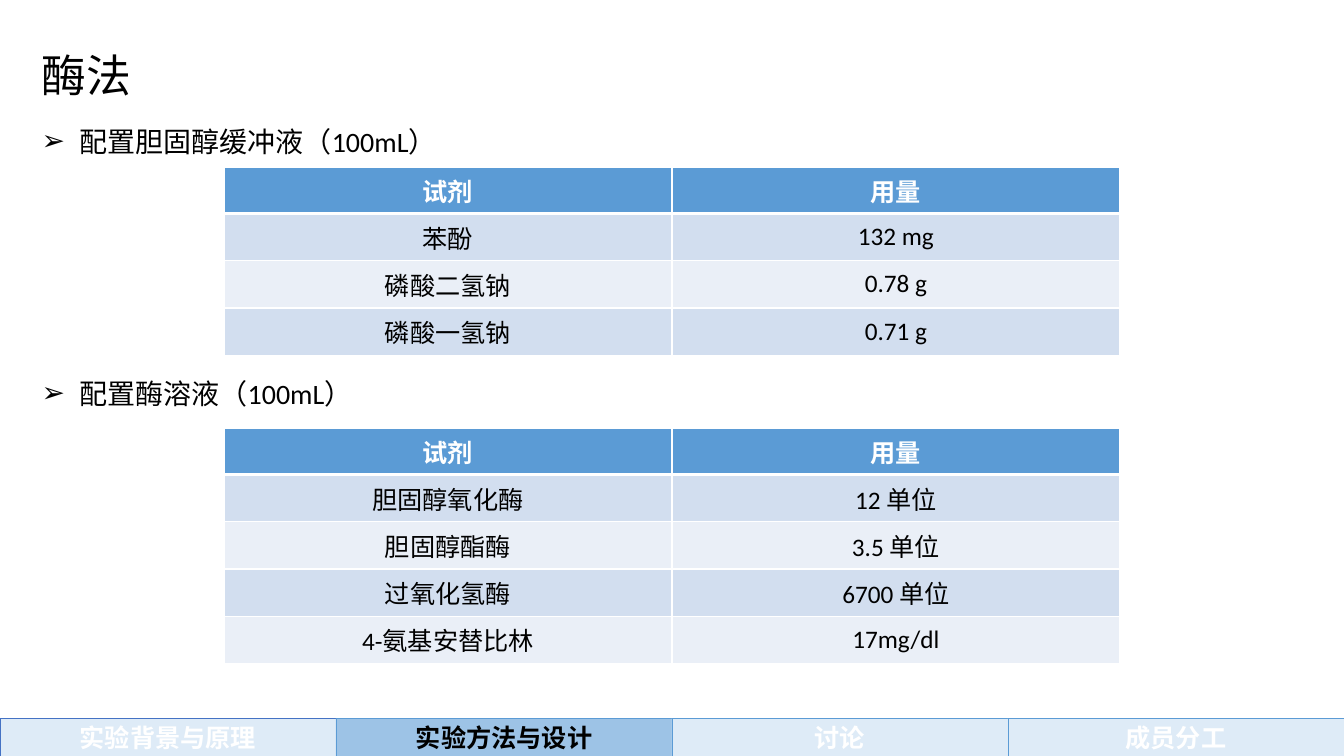
"""Build the enzyme method slide with two reagent tables and a section bar."""
from lxml import etree
from pptx import Presentation
from pptx.dml.color import RGBColor
from pptx.enum.shapes import MSO_SHAPE
from pptx.enum.text import MSO_ANCHOR, MSO_AUTO_SIZE, PP_ALIGN
from pptx.oxml.ns import qn
from pptx.util import Cm, Pt

RECTANGLE = MSO_SHAPE.RECTANGLE
MIDDLE = MSO_ANCHOR.MIDDLE
CENTER = PP_ALIGN.CENTER
GROW = MSO_AUTO_SIZE.SHAPE_TO_FIT_TEXT

TITLE = "酶法"
STEPS = [(2.59, "配置胆固醇缓冲液（100mL）"), (8.94, "配置酶溶液（100mL）")]
TABLES = [
    (4.22, [("试剂", "用量"), ("苯酚", "132 mg"), ("磷酸二氢钠", "0.78 g"),
            ("磷酸一氢钠", "0.71 g")]),
    (10.8, [("试剂", "用量"), ("胆固醇氧化酶", "12 单位"), ("胆固醇酯酶", "3.5 单位"),
            ("过氧化氢酶", "6700 单位"), ("4-氨基安替比林", "17mg/dl")]),
]
SECTIONS = ["实验背景与原理", "实验方法与设计", "讨论", "成员分工"]
CURRENT_SECTION = "实验方法与设计"

THEME = {
    "font": "Calibri", "bullet_font": "Arial", "title": 32, "step": 20, "body": 18,
    "black": "000000", "white": "FFFFFF", "header": "5B9BD5",
    "bands": ("D2DEEF", "EAEFF7"), "tab": "DEEBF7", "current": "9DC3E6",
    "first_line": "4472C4", "tab_line": "5B9BD5",
}
PAGE_WIDTH, PAGE_HEIGHT = 33.87, 19.05
MARGIN = 0.8
TABLE_WIDTH, HEADER_HEIGHT, ROW_HEIGHT = 22.58, 1.16, 1.19
TAB_HEIGHT = 0.95
STEP_INDENT = 0.95


def color(name):
    return RGBColor.from_string(THEME.get(name, name))


def write(para, text, size, shade="black", bold=False):
    span = para.add_run()
    span.text = text
    formats = {"name": THEME["font"], "size": Pt(THEME[size]), "bold": bold}
    for key, value in formats.items():
        setattr(span.font, key, value)
    span.font.color.rgb = color(shade)


def add_box(page, top, width, height):
    box = page.shapes.add_textbox(Cm(MARGIN), Cm(top), Cm(width), Cm(height))
    box.text_frame.word_wrap = True
    box.text_frame.auto_size = GROW
    return box.text_frame.paragraphs[0]


def add_step(page, top, text):
    para = add_box(page, top, 30, 1.6)
    para.line_spacing = 1.5
    properties = para._p.get_or_add_pPr()
    properties.set("marL", str(Cm(STEP_INDENT)))
    properties.set("indent", str(-Cm(STEP_INDENT)))
    etree.SubElement(properties, qn("a:buFont"), typeface=THEME["bullet_font"])
    etree.SubElement(properties, qn("a:buChar"), char="➢")
    write(para, text, "step")


def set_borders(cell, widths):
    properties = cell._tc.get_or_add_tcPr()
    for index, (side, width) in enumerate(widths.items()):
        line = etree.Element(qn(f"a:ln{side}"), w=str(Pt(width)))
        fill = etree.SubElement(line, qn("a:solidFill"))
        etree.SubElement(fill, qn("a:srgbClr"), val=THEME["white"])
        properties.insert(index, line)


def add_reagents(page, top, rows):
    left = (PAGE_WIDTH - TABLE_WIDTH) / 2
    columns = len(rows[0])
    height = HEADER_HEIGHT + ROW_HEIGHT * (len(rows) - 1)
    table = page.shapes.add_table(
        len(rows), columns, Cm(left), Cm(top), Cm(TABLE_WIDTH), Cm(height)).table
    for column in table.columns:
        column.width = Cm(TABLE_WIDTH / columns)
    for number, row in enumerate(rows):
        header = number == 0
        table.rows[number].height = Cm(HEADER_HEIGHT if header else ROW_HEIGHT)
        fill = THEME["header"] if header else THEME["bands"][(number - 1) % 2]
        widths = {"L": 1, "R": 1, "T": 3 if number == 1 else 1, "B": 3 if header else 1}
        for place, text in enumerate(row):
            cell = table.cell(number, place)
            cell.vertical_anchor = MIDDLE
            cell.fill.solid()
            cell.fill.fore_color.rgb = color(fill)
            set_borders(cell, widths)
            para = cell.text_frame.paragraphs[0]
            para.alignment = CENTER
            write(para, text, "body", "white" if header else "black", header)


def add_section_bar(page):
    width = PAGE_WIDTH / len(SECTIONS)
    for index, section in enumerate(SECTIONS):
        current = section == CURRENT_SECTION
        tab = page.shapes.add_shape(
            RECTANGLE, Cm(index * width), Cm(PAGE_HEIGHT - TAB_HEIGHT),
            Cm(width), Cm(TAB_HEIGHT))
        tab.shadow.inherit = False
        tab.fill.solid()
        tab.fill.fore_color.rgb = color("current" if current else "tab")
        tab.line.color.rgb = color("tab_line" if index else "first_line")
        tab.line.width = Pt(0.5)
        tab.text_frame.vertical_anchor = MIDDLE
        para = tab.text_frame.paragraphs[0]
        para.alignment = CENTER
        write(para, section, "body", "black" if current else "white", True)


def main():
    deck = Presentation()
    deck.slide_width, deck.slide_height = Cm(PAGE_WIDTH), Cm(PAGE_HEIGHT)
    page = deck.slides.add_slide(deck.slide_layouts[6])
    write(add_box(page, 1.07, 18.92, 1.63), TITLE, "title")
    add_section_bar(page)
    for top, text in STEPS:
        add_step(page, top, text)
    for top, rows in TABLES:
        add_reagents(page, top, rows)
    deck.save("out.pptx")


if __name__ == "__main__":
    main()
